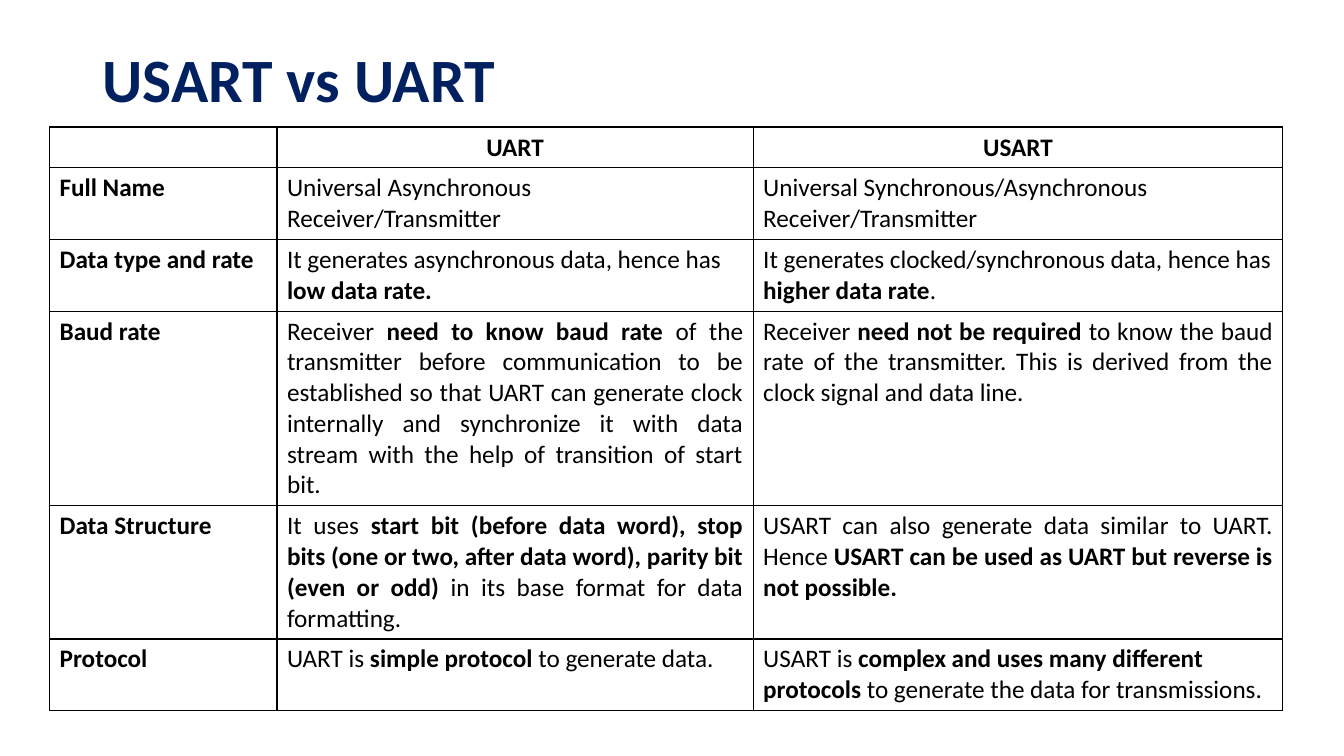
"""Build a slide with a table that compares UART with USART."""
import pptx
import pptx.util
import pptx.dml.color
import pptx.enum.text
import pptx.oxml
import pptx.oxml.ns

Cm, Pt = pptx.util.Cm, pptx.util.Pt
Align = pptx.enum.text.PP_ALIGN
Hex = pptx.dml.color.RGBColor.from_string

COLORS = {"title": "002060", "ink": "000000", "paper": "FFFFFF"}
FACE = "Calibri"
TITLE = "USART vs UART"
TITLE_BOX = {"left": Cm(2.33), "top": Cm(0.23), "width": Cm(29.21), "height": Cm(3.68)}
TABLE_AT = Cm(1.25), Cm(3.2)
WIDTHS = [5.73, 12, 13.35]
HEIGHTS = [0.97, 1.65, 1.65, 4.5, 3.07, 0.97]

HEADS = ["", "UART", "USART"]
# each body cell alternates plain and bold text, starting with plain
ROWS = [
    ("Full Name", Align.LEFT,
     ["Universal Asynchronous Receiver/Transmitter"],
     ["Universal Synchronous/Asynchronous Receiver/Transmitter"]),
    ("Data type and rate", Align.LEFT,
     ["It generates asynchronous data, hence has ", "low data rate."],
     ["It generates clocked/synchronous data, hence has ", "higher data rate", "."]),
    ("Baud rate", Align.JUSTIFY,
     ["Receiver ", "need to know baud rate ",
      "of the transmitter before communication to be established so that UART can "
      "generate clock internally and synchronize it with data stream with the help "
      "of transition of start bit."],
     ["Receiver ", "need not be required ",
      "to know the baud rate of the transmitter. This is derived from the clock "
      "signal and data line."]),
    ("Data Structure", Align.JUSTIFY,
     ["It uses ", "start bit (before data word), stop bits (one or two, after data "
      "word), parity bit (even or odd)", " in its base format for data formatting."],
     ["USART can also generate data similar to UART. Hence ",
      "USART can be used as UART but reverse is not possible."]),
    ("Protocol", Align.LEFT,
     ["UART is ", "simple protocol ", "to generate data."],
     ["USART is ", "complex and uses many different protocols ",
      "to generate the data for transmissions."]),
]


def put(item, form):
    """Set each attribute in form on item."""
    for name, value in form.items():
        setattr(item, name, value)


def write(para, parts, align, size, color):
    """Add (text, bold) parts to a paragraph."""
    para.alignment = align
    for text, bold in parts:
        run = para.add_run()
        run.text = text
        put(run.font, {"name": FACE, "size": Pt(size), "bold": bold})
        run.font.color.rgb = Hex(COLORS[color])


def frame(cell):
    """Give a cell its fill and four thin borders."""
    cell.fill.solid()
    cell.fill.fore_color.rgb = Hex(COLORS["paper"])
    props = cell._tc.get_or_add_tcPr()
    for place, side in enumerate("LRTB"):
        props.insert(place, pptx.oxml.parse_xml(
            f'<a:ln{side} {pptx.oxml.ns.nsdecls("a")} w="12700"><a:solidFill>'
            f'<a:srgbClr val="{COLORS["ink"]}"/></a:solidFill></a:ln{side}>'))


def main():
    """Lay out the slide and save it."""
    deck = pptx.Presentation()
    put(deck, {"slide_width": Cm(33.87), "slide_height": Cm(19.05)})
    slide = deck.slides.add_slide(deck.slide_layouts[5])

    title = slide.shapes.title
    put(title, TITLE_BOX)
    put(title.text_frame, {"vertical_anchor": pptx.enum.text.MSO_ANCHOR.MIDDLE,
                           "auto_size": pptx.enum.text.MSO_AUTO_SIZE.NONE})
    para = title.text_frame.paragraphs[0]
    para.line_spacing = 0.9
    write(para, [(TITLE, True)], Align.LEFT, 44, "title")

    grid = [[([(head, True)] if head else [], Align.CENTER) for head in HEADS]]
    for label, align, *cells in ROWS:
        grid.append([([(label, True)], Align.LEFT)] + [
            ([(text, i % 2 == 1) for i, text in enumerate(cell)], align)
            for cell in cells])

    table = slide.shapes.add_table(len(grid), len(HEADS), *TABLE_AT,
                                   Cm(sum(WIDTHS)), Cm(sum(HEIGHTS))).table
    put(table, {"first_row": False, "horz_banding": False})
    for col, width in zip(table.columns, WIDTHS):
        col.width = Cm(width)
    for row, height, line in zip(table.rows, HEIGHTS, grid):
        row.height = Cm(height)
        for cell, (parts, align) in zip(row.cells, line):
            frame(cell)
            write(cell.text_frame.paragraphs[0], parts, align, 18, "ink")
    deck.save("out.pptx")


if __name__ == "__main__":
    main()
